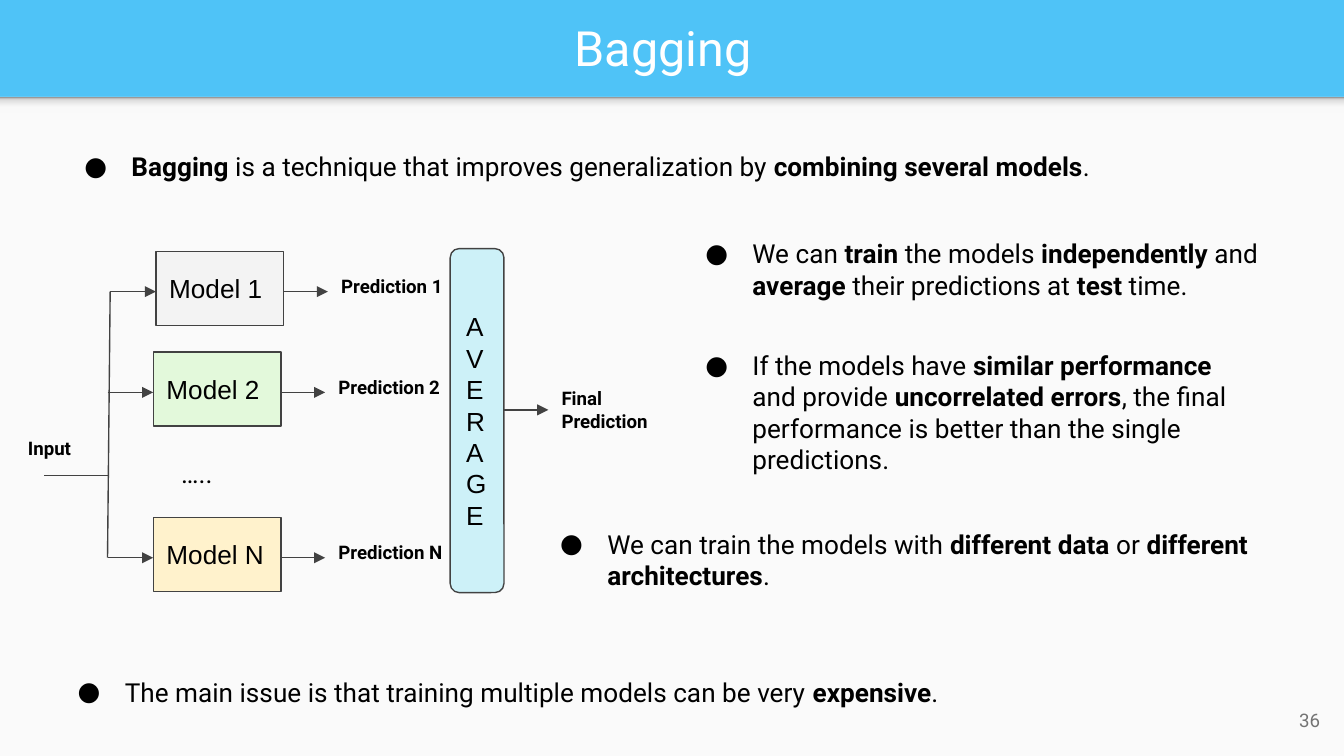
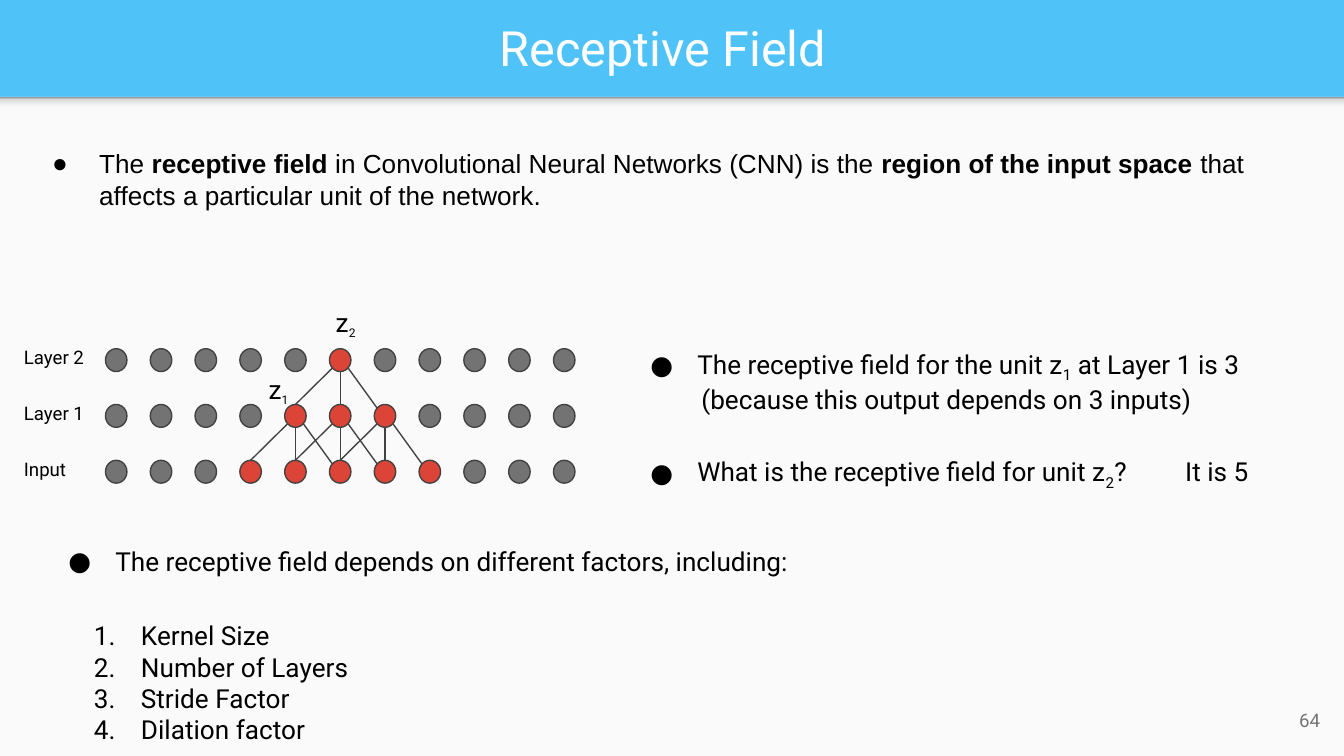
import pptx
import pptx.util
import pptx.dml.color
import pptx.enum.shapes
import pptx.enum.text
import pptx.oxml
import pptx.oxml.ns

# Shared look
WIDE = 10
HIGH = WIDE * 9 / 16
BAND = 0.72
SKY, PAPER, INK = "4FC3F7", "FAFAFA", "000000"
EDGE, GRAY, RED = "424242", "737373", "DB4437"
SHADE = [(0, "F9F9F9"), (36, "F9F9F9"), (80, "DEDEDE"), (100, "999999")]
SANS, BODY = "Arial", "Roboto"
HANG = 0.5

# Content: *bold*, _subscript_; points are (left, top, width, height, text)
BAGGING = {
    "title": "Bagging",
    "page": "36",
    "points": [
        (0.38, 1.02, 9.1, 0.44, "*Bagging* is a technique that improves "
         "generalization by *combining several models*."),
        (5, 1.67, 4.48, 0.67, "We can *train* the models *independently* and "
         "*average* their predictions at *test* time."),
        (5, 2.5, 4.48, 1.14, "If the models have *similar performance* and "
         "provide *uncorrelated errors*, the final performance is better "
         "than the single predictions."),
        (3.92, 3.83, 5.81, 0.67, "We can train the models with *different "
         "data *or *different architectures*."),
        (0.33, 4.93, 9.65, 0.44, "The main issue is that training multiple "
         "models can be very *expensive*."),
    ],
}
# Name, fill, axis of the row, shift to the right
MODELS = [("1", "F3F3F3", 2.17, 0.02), ("2", "E3F9DB", 2.92, 0),
          ("N", "FFF2CC", 4.15, 0)]

FIELD = {
    "title": "Receptive Field",
    "page": "64",
    "points": [
        (0.26, 3.96, 7.87, 0.44, "The receptive field depends on different "
         "factors, including:"),
        (4.59, 3.29, 4.06, 0.44,
         "What is the receptive field for unit z_2_?"),
    ],
}
REGION = ("The *receptive field *in Convolutional Neural Networks (CNN) is "
          "the *region of the input space *that affects a particular unit "
          "of the network.")
DEPTH = ["The receptive field for the unit z_1_ at Layer 1 is 3",
         "(because this output depends on 3 inputs)"]
FACTORS = ["Kernel Size", "Number of Layers", "Stride Factor",
           "Dilation factor"]
LAYERS = ["Layer 2", "Layer 1", "Input"]
UNITS, MID = 11, 5
UNIT_NAMES = [("z_2_", 2.4, 2.18), ("z_1_", 1.9, 2.68)]

FORM = pptx.enum.shapes.MSO_SHAPE
ALIGN = pptx.enum.text.PP_ALIGN
MIDDLE = pptx.enum.text.MSO_ANCHOR.MIDDLE


def inch(*sizes):
    return [pptx.util.Inches(size) for size in sizes]


def tint(color, code):
    color.rgb = pptx.dml.color.RGBColor.from_string(code)


def add(parent, tag, **attrs):
    node = pptx.oxml.parse_xml(
        '<a:%s xmlns:a="http://schemas.openxmlformats.org/drawingml/2006/main"/>'
        % tag)
    for name, value in attrs.items():
        node.set(name, str(value))
    parent.append(node)
    return node


def paint(fill, code):
    fill.solid()
    tint(fill.fore_color, code)


# Text
def style(font, size, code, face, bold):
    font.size = pptx.util.Pt(size)
    font.name = face
    font.bold = bold
    tint(font.color, code)


def mark(para, bullet, left, face):
    props = para._p.get_or_add_pPr()
    first = -0.35 if bullet else 0
    props.set("marL", str(pptx.util.Inches(left)))
    props.set("indent", str(pptx.util.Inches(first)))
    if bullet:
        add(add(props, "buClr"), "srgbClr", val=INK)
        add(props, "buFont", typeface=face)
        if bullet == "1.":
            add(props, "buAutoNum", type="arabicPeriod")
        else:
            add(props, "buChar", char=bullet)


def spell(para, text, small):
    for i, part in enumerate(text.split("*")):
        for j, piece in enumerate(part.split("_")):
            if not piece:
                continue
            run = para.add_run()
            run.text = piece
            if i % 2:
                run.font.bold = True
            if j % 2:
                run.font._element.set("baseline", "-25000")
                if small:
                    run.font.size = pptx.util.Pt(small)


def write(shape, lines, size=14, code=INK, face=BODY, bold=False,
          bullets=(), lefts=(), align=None, anchor=None, small=None):
    frame = shape.text_frame
    frame.word_wrap = True
    (frame.margin_left, frame.margin_top,
     frame.margin_right, frame.margin_bottom) = inch(0.1, 0.1, 0.1, 0.1)
    frame.vertical_anchor = anchor or pptx.enum.text.MSO_ANCHOR.TOP
    for i, text in enumerate(lines):
        para = frame.add_paragraph() if i else frame.paragraphs[0]
        para.alignment = align or ALIGN.LEFT
        if bullets:
            mark(para, bullets[i], lefts[i] if lefts else HANG, face)
        style(para.font, size, code, face, bold)
        spell(para, text, small)


def label(slide, box, lines, grow=True, **look):
    shape = slide.shapes.add_textbox(*inch(*box))
    write(shape, lines, **look)
    if grow:
        kind = pptx.enum.text.MSO_AUTO_SIZE
        shape.text_frame.auto_size = kind.SHAPE_TO_FIT_TEXT


# Shapes and lines
def block(slide, form, box, code, edge=EDGE):
    shape = slide.shapes.add_shape(form, *inch(*box))
    shape.shadow.inherit = False
    paint(shape.fill, code)
    if edge:
        tint(shape.line.color, edge)
        shape.line.width = pptx.util.Pt(0.75)
    else:
        shape.line.fill.background()
    return shape


def link(slide, x1, y1, x2, y2, arrow=False):
    kind = pptx.enum.shapes.MSO_CONNECTOR.STRAIGHT
    line = slide.shapes.add_connector(kind, *inch(x1, y1, x2, y2))
    tint(line.line.color, EDGE)
    line.line.width = pptx.util.Pt(0.75)
    props = line._element.spPr
    if arrow:
        add(props.find(pptx.oxml.ns.qn("a:ln")), "tailEnd", type="triangle")
    add(props, "effectLst")


def start(deck, data):
    slide = deck.slides.add_slide(deck.slide_layouts[6])
    paint(slide.background.fill, SKY)
    block(slide, FORM.RECTANGLE, (0, BAND, WIDE, HIGH - BAND), PAPER, None)
    # Soft shade under the title band
    shade = block(slide, FORM.RECTANGLE, (0, BAND, WIDE, 0.12), PAPER, None)
    shade.fill.gradient()
    shade.fill.gradient_angle = 90
    stops = next(shade._element.iter(pptx.oxml.ns.qn("a:gsLst")))
    for stop in list(stops):
        stops.remove(stop)
    for share, code in SHADE:
        add(add(stops, "gs", pos=share * 1000), "srgbClr", val=code)
    label(slide, (0.11, 0.02, 9.65, 0.66), [data["title"]], grow=False,
          size=26, code="FFFFFF", align=ALIGN.CENTER, anchor=MIDDLE)
    label(slide, (9.32, 5.14, 0.6, 0.43), [data["page"]], grow=False,
          size=10, code=GRAY, align=ALIGN.RIGHT, anchor=MIDDLE)
    for *box, text in data["points"]:
        label(slide, box, [text], bullets="●")
    return slide


def bagging(deck):
    slide = start(deck, BAGGING)
    note = {"size": 10, "bold": True}
    trunk, left, wide, tall, reach = 0.8, 1.14, 0.95, 0.55, 0.33
    # One row for each model
    for name, code, y, shift in MODELS:
        x = left + shift
        end = x + wide
        link(slide, trunk + shift, y, x, y, True)
        box = block(slide, FORM.RECTANGLE, (x, y - 0.3, wide, tall), code)
        write(box, ["Model " + name], face=SANS, anchor=MIDDLE)
        link(slide, end, y, end + reach, y, True)
        label(slide, (end + reach, y - 0.21, 1.02, 0.37),
              ["Prediction " + name], **note)
    # Input
    link(slide, trunk + MODELS[0][3], MODELS[0][2], trunk, MODELS[-1][2])
    link(slide, trunk, 3.54, 0.33, 3.54)
    label(slide, (0.11, 3.17, 1.02, 0.37), ["Input"], **note)
    label(slide, (1.25, 3.3, 0.72, 0.44), ["….."])
    # Average and result
    mean = block(slide, FORM.ROUNDED_RECTANGLE, (3.35, 1.85, 0.4, 2.56),
                 "29D2F5")
    hue = next(mean._element.spPr.iter(pptx.oxml.ns.qn("a:srgbClr")))
    add(hue, "alpha", val=21000)
    write(mean, list("AVERAGE"), face=SANS, anchor=MIDDLE)
    link(slide, 3.75, 3.05, 3.75 + reach, 3.05, True)
    label(slide, (3.75 + reach, 2.78, 1.02, 0.54), ["Final", "Prediction"],
          **note)


def field(deck):
    slide = start(deck, FIELD)
    label(slide, (0.14, 1, 9.37, 0.67), [REGION], face=SANS, bullets="●")
    label(slide, (4.59, 2.49, 5.05, 0.67), DEPTH, bullets=("●", ""),
          lefts=(HANG, 0.53))
    label(slide, (8.72, 3.29, 0.79, 0.44), ["It is 5"])
    label(slide, (0.45, 4.51, 2.49, 1.14), FACTORS,
          bullets=["1."] * len(FACTORS))
    # Units; each layer down sees one more unit on both sides
    dx, dy, wide, tall, rim = 1 / 3, 0.415, 0.16, 0.17, 0.06
    for row, name in enumerate(LAYERS):
        y = 2.68 + row * dy
        label(slide, (0.08, y - 0.19, 0.68, 0.37), [name], size=10)
        for col in range(UNITS):
            x = 0.865 + col * dx
            seen = abs(col - MID) <= row
            block(slide, FORM.OVAL, (x - wide / 2, y - tall / 2, wide, tall),
                  RED if seen else GRAY)
            if seen and row < len(LAYERS) - 1:
                below = y + dy
                link(slide, x - dx, below - tall / 2, x - rim, y + rim)
                link(slide, x, y + tall / 2, x, below - tall / 2)
                link(slide, x + rim, y + rim, x + dx - rim, below - rim)
    for name, x, y in UNIT_NAMES:
        label(slide, (x, y, 0.74, 0.44), [name], small=11)


def main():
    deck = pptx.Presentation()
    deck.slide_width, deck.slide_height = inch(WIDE, HIGH)
    bagging(deck)
    field(deck)
    deck.save("out.pptx")


if __name__ == "__main__":
    main()
